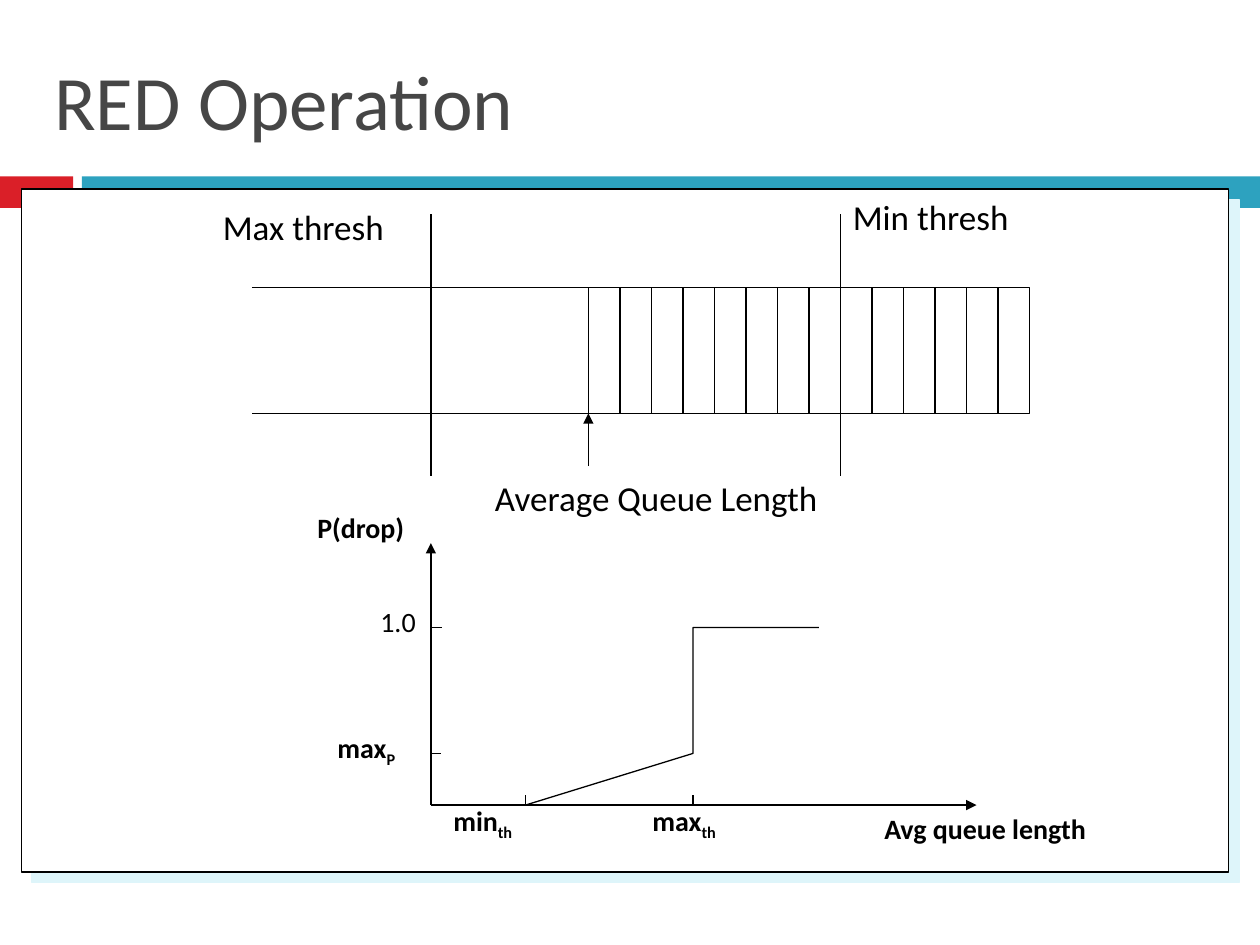
"""Build the RED Operation slide: a queue with thresholds above a drop probability graph."""
from lxml import etree
from pptx import Presentation
from pptx.dml.color import RGBColor
from pptx.enum import shapes, text
from pptx.oxml import parse_xml
from pptx.oxml.ns import nsdecls, qn
from pptx.util import Inches, Pt

RED = RGBColor(0xDA, 0x1F, 0x28)
TEAL = RGBColor(0x2D, 0xA2, 0xBF)
WHITE = RGBColor(0xFF, 0xFF, 0xFF)
BLACK = RGBColor(0, 0, 0)
GREY = RGBColor(0x46, 0x46, 0x46)
FONT = "Calibri"

prs = Presentation()
prs.slide_width, prs.slide_height = Inches(10), Inches(7.5)
s = prs.slides.add_slide(prs.slide_layouts[5])


def add_line(x1, y1, x2, y2, arrow=False):
    """Draw a thin black line, with an arrowhead at its end if wanted."""
    ln = s.shapes.add_connector(shapes.MSO_CONNECTOR.STRAIGHT,
                                Inches(x1), Inches(y1), Inches(x2), Inches(y2))
    ln.line.color.rgb = BLACK
    ln.line.width = Pt(0.75)
    etree.SubElement(ln._element.spPr, qn("a:effectLst"))
    if arrow:
        etree.SubElement(ln.line._get_or_add_ln(), qn("a:tailEnd"), type="triangle")


def add_label(x, y, w, h, size, bold, words, sub=""):
    """Write a label with an optional subscript."""
    tf = s.shapes.add_textbox(Inches(x), Inches(y), Inches(w), Inches(h)).text_frame
    tf.word_wrap = False
    p = tf.paragraphs[0]
    p.text = words
    if sub:
        r = p.add_run()
        r.text = sub
        r._r.get_or_add_rPr().set("baseline", "-25000")
    for r in p.runs:
        r.font.name, r.font.size, r.font.bold = FONT, Pt(size), bold
        r.font.color.rgb = BLACK


title = s.shapes.title
title.left, title.top, title.width, title.height = (
    Inches(v) for v in (0.33, 0.17, 8.5, 1.25))
tf = title.text_frame
tf.text = "RED Operation"
tf.vertical_anchor = text.MSO_ANCHOR.MIDDLE
p = tf.paragraphs[0]
p.alignment = text.PP_ALIGN.LEFT
f = p.runs[0].font
f.name, f.size = FONT, Pt(44)
f.color.rgb = GREY

for x, y, w, h, color in [(0, 1.4, 0.58, 0.25, RED), (0.65, 1.4, 9.35, 0.25, TEAL),
                          (0.17, 1.5, 9.58, 5.42, WHITE)]:
    sp = s.shapes.add_shape(shapes.MSO_SHAPE.RECTANGLE,
                            Inches(x), Inches(y), Inches(w), Inches(h))
    sp.shadow.inherit = False
    sp.fill.solid()
    sp.fill.fore_color.rgb = color
    sp.line.fill.background()

panel = sp
panel.line.color.rgb = BLACK
panel.line.width = Pt(0.75)
panel._element.spPr.find(qn("a:effectLst")).append(parse_xml(
    f'<a:outerShdw {nsdecls("a")} dist="107950" dir="2700000" algn="ctr" rotWithShape="0">'
    '<a:srgbClr val="DEF5FA"/></a:outerShdw>'))

queue = [(2, 2.28), (8.17, 2.28), (8.17, 3.28), (2, 3.28)]
curve = [(4.17, 6.39), (5.5, 5.98), (5.5, 4.98), (6.5, 4.98)]
for points in (queue, curve):
    start, *rest = [(Inches(x), Inches(y)) for x, y in points]
    fb = s.shapes.build_freeform(*start)
    fb.add_line_segments(rest, close=False)
    sp = fb.convert_to_shape()
    sp.shadow.inherit = False
    sp.fill.background()
    sp.line.color.rgb = BLACK
    sp.line.width = Pt(0.75)

for i in range(14):
    x = 4.67 + 0.25 * i
    add_line(x, 2.28, x, 3.28)
for x in (3.42, 6.67):
    add_line(x, 1.7, x, 3.78)
add_line(4.67, 3.7, 4.67, 3.28, arrow=True)

add_line(3.42, 6.39, 7.75, 6.39, arrow=True)
add_line(3.42, 6.39, 3.42, 4.31, arrow=True)
for x, y in [(3.42, 5.98), (3.43, 4.98)]:
    add_line(x, y, x + 0.08, y)
for x in (4.17, 5.5):
    add_line(x, 6.39, x, 6.31)

for label in [
    (6.67, 1.5, 1.5, 0.43, 20, False, "Min thresh"),
    (1.67, 1.58, 1.57, 0.43, 20, False, "Max thresh"),
    (3.83, 3.73, 4.25, 0.43, 20, False, "Average Queue Length"),
    (3.5, 6.33, 0.74, 0.37, 16, True, "min", "th"),
    (5.08, 6.33, 0.79, 0.37, 16, True, "max", "th"),
    (2.58, 5.75, 0.75, 0.37, 16, True, "max", "P"),
    (2.92, 4.75, 0.51, 0.37, 16, False, "1.0"),
    (6.92, 6.39, 2.06, 0.37, 16, True, "Avg queue length"),
    (2.42, 4, 0.99, 0.37, 16, True, "P(drop)"),
]:
    add_label(*label)
s.shapes[-7].text_frame.word_wrap = True

prs.save("out.pptx")
